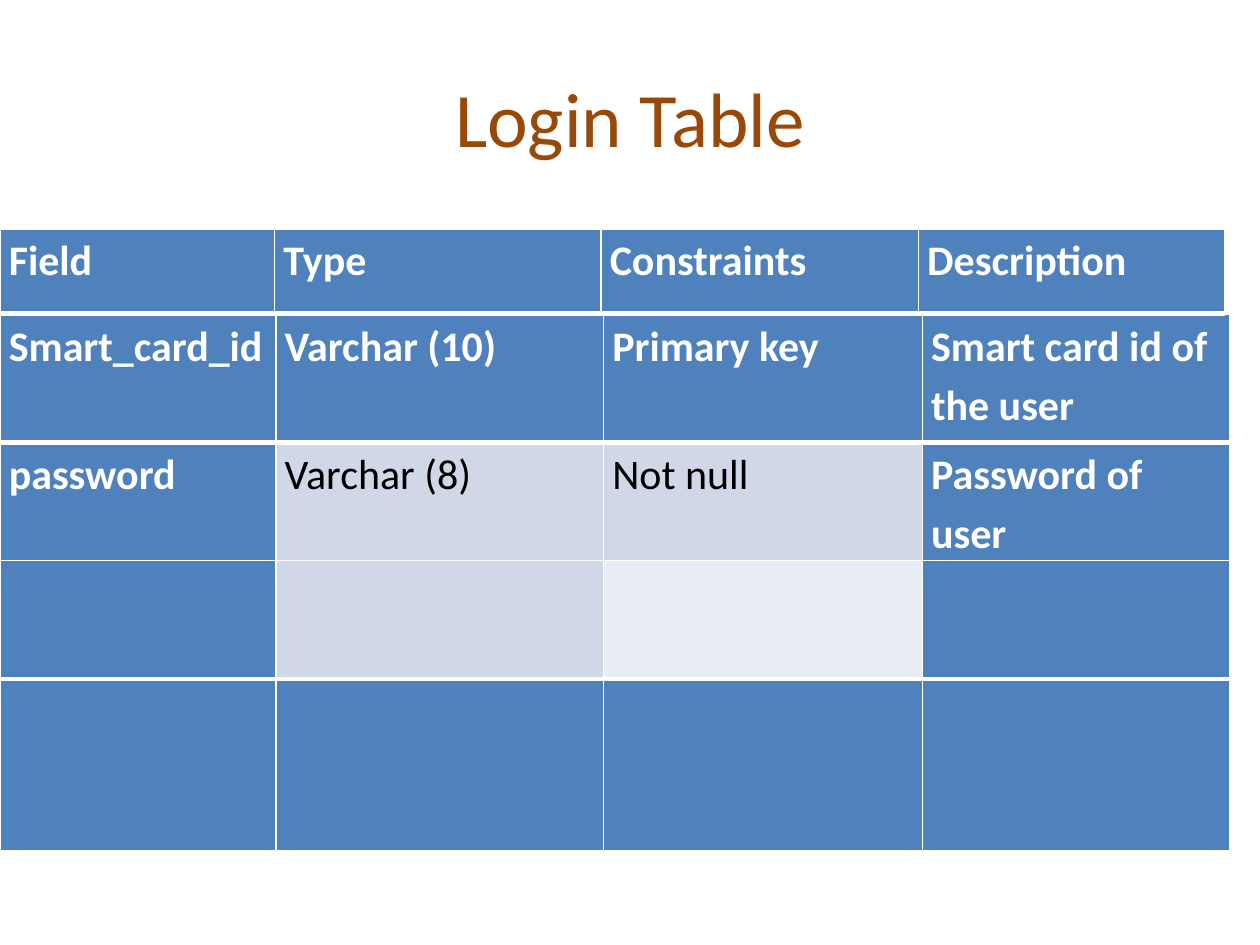
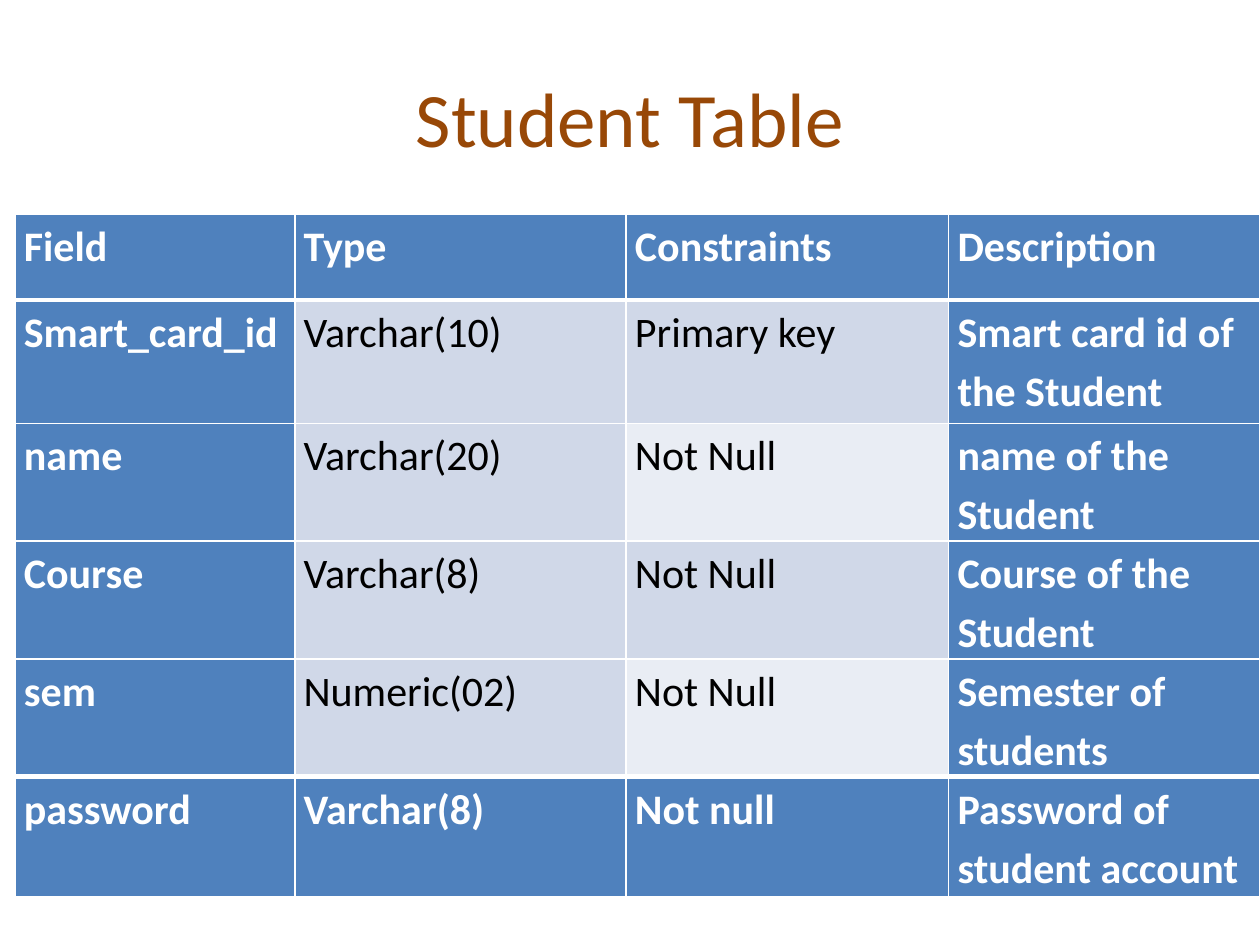
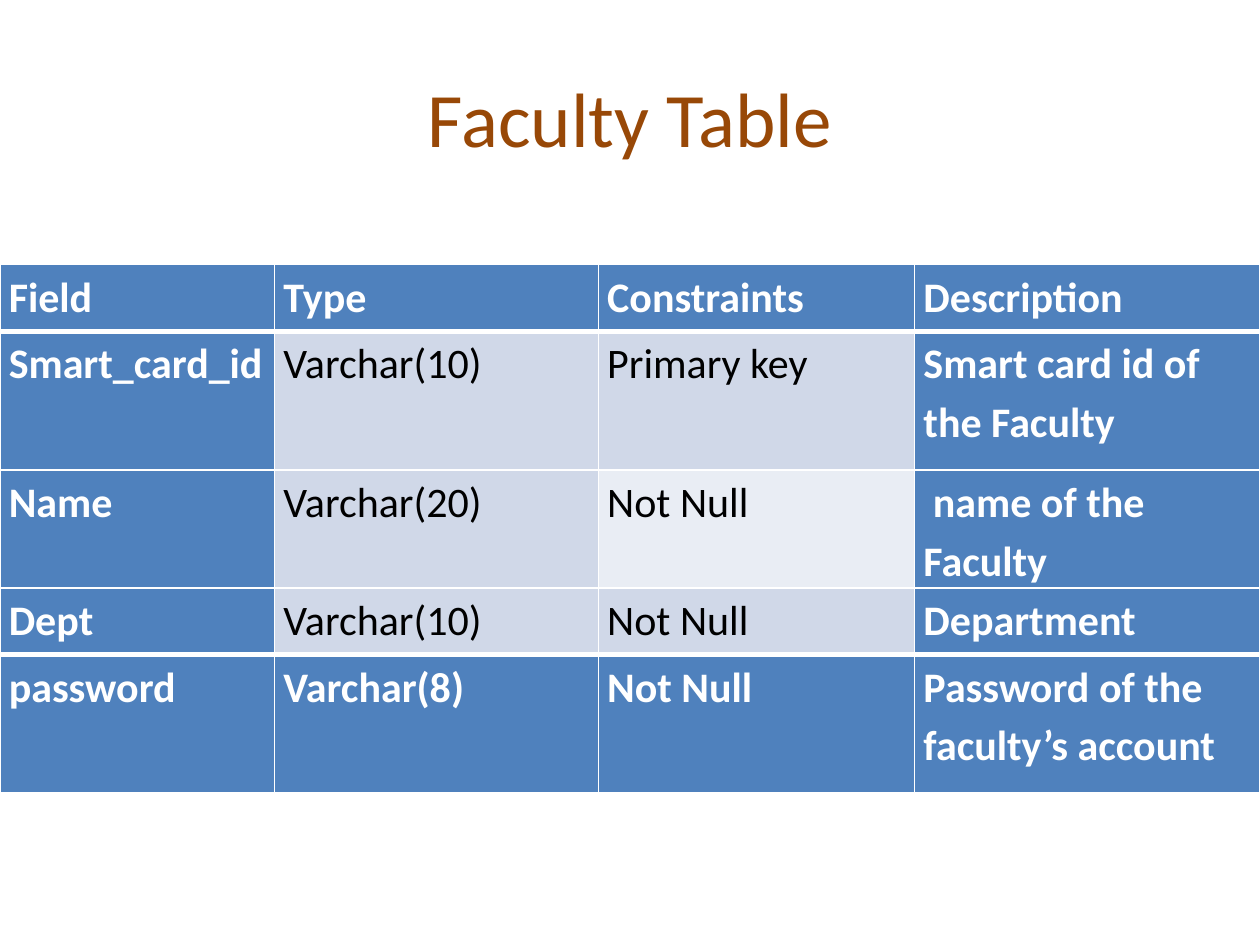
from lxml import etree
from pptx import Presentation, util as u
from pptx.dml.color import RGBColor
from pptx.enum import text
from pptx.oxml import ns

COLORS = {
    "title": "984807",
    "accent": "4F81BD",
    "band": "D0D8E8",
    "light": "E9EDF4",
    "white": "FFFFFF",
    "black": "000000",
}
FONT = "Calibri"
HEADINGS = ["Field", "Type", "Constraints", "Description"]


def color(name):
    """Return the named palette colour."""
    return RGBColor.from_string(COLORS[name])


def style_font(paragraph, size, color_name, bold=False):
    """Format every run of a paragraph."""
    for span in paragraph.runs:
        span.font.name = FONT
        span.font.size = u.Pt(size)
        span.font.bold = bold
        span.font.color.rgb = color(color_name)


def add_border(cell, side, points):
    """Draw a white line on one side of a cell."""
    properties = cell._tc.get_or_add_tcPr()
    line = etree.SubElement(properties, ns.qn(f"a:ln{side}"), w=str(u.Pt(points)))
    fill = etree.SubElement(line, ns.qn("a:solidFill"))
    etree.SubElement(fill, ns.qn("a:srgbClr"), val=COLORS["white"])


def cell_fill(row, column, last_row, last_column):
    """Choose a fill: accent around the edge, bands inside."""
    if row in (0, last_row) or column in (0, last_column):
        return "accent"
    return "light" if column == 2 and row % 2 == 0 else "band"


def format_cell(cell, content, fill_name, top_line, bottom_line):
    """Fill, border and write one cell."""
    for side, points in zip("LRTB", (1, 1, top_line, bottom_line)):
        add_border(cell, side, points)
    cell.fill.solid()
    cell.fill.fore_color.rgb = color(fill_name)
    if not content:
        return
    cell.margin_left = cell.margin_right = u.Inches(0.07)
    cell.margin_top = cell.margin_bottom = 0
    cell.text_frame.text = content
    paragraph = cell.text_frame.paragraphs[0]
    paragraph.line_spacing = 1.15
    accent = fill_name == "accent"
    style_font(paragraph, 24, "white" if accent else "black", accent)


def add_field_table(page, left, top, widths, heights, records):
    """Place a field table with heavy rules below its first and above its last row."""
    frame = page.shapes.add_table(
        len(heights), len(widths), u.Inches(left), u.Inches(top),
        u.Inches(sum(widths)), u.Inches(sum(heights)))
    table = frame.table
    for column, width in zip(table.columns, widths):
        column.width = u.Inches(width)
    last_row, last_column = len(heights) - 1, len(widths) - 1
    rules = [3 if edge in (1, last_row) else 1 for edge in range(len(heights) + 1)]
    for row, (height, record) in enumerate(zip(heights, records)):
        table.rows[row].height = u.Inches(height)
        for column, content in enumerate(record):
            fill_name = cell_fill(row, column, last_row, last_column)
            format_cell(table.cell(row, column), content, fill_name,
                        rules[row], rules[row + 1])


def add_titled_page(deck, title):
    """Add a page with the shared title style."""
    page = deck.slides.add_slide(deck.slide_layouts[5])
    box = page.shapes.title
    box.left, box.top = u.Inches(0.5), u.Inches(0.3)
    box.width, box.height = u.Inches(9), u.Inches(1.25)
    box.text_frame.text = title
    box.text_frame.vertical_anchor = text.MSO_ANCHOR.MIDDLE
    paragraph = box.text_frame.paragraphs[0]
    paragraph.alignment = text.PP_ALIGN.CENTER
    style_font(paragraph, 44, "title")
    return page


def add_login_page(deck):
    """Build the login page, whose headings form a separate strip."""
    page = add_titled_page(deck, "Login Table")
    add_field_table(page, 0, 2.49, [2.19, 2.6, 2.53, 2.44], [1.02, 0.94, 0.94, 1.36], [
        ["Smart_card_id", "Varchar (10)", "Primary key", "Smart card id of the user"],
        ["password", "Varchar (8)", "Not null", "Password of user"],
        [""] * 4,
        [""] * 4,
    ])
    add_field_table(page, 0, 1.81, [2.18, 2.59, 2.52, 2.43], [0.68], [HEADINGS])


def add_student_page(deck):
    """Build the student page."""
    page = add_titled_page(deck, "Student Table")
    heights = [0.68, 0.98, 0.93, 0.93, 0.93, 0.95]
    add_field_table(page, 0.12, 1.7, [2.22, 2.63, 2.56, 2.47], heights, [
        HEADINGS,
        ["Smart_card_id", "Varchar(10)", "Primary key", "Smart card id of the Student"],
        ["name", "Varchar(20)", "Not Null", "name of the Student"],
        ["Course", "Varchar(8)", "Not Null", "Course of the Student"],
        ["sem", "Numeric(02)", "Not Null", "Semester of students"],
        ["password", "Varchar(8)", "Not null", "Password of student account"],
    ])


def add_faculty_page(deck):
    """Build the faculty page."""
    page = add_titled_page(deck, "Faculty Table")
    heights = [0.53, 1.1, 0.93, 0.53, 1.1]
    add_field_table(page, 0, 2.1, [2.18, 2.57, 2.51, 2.74], heights, [
        HEADINGS,
        ["Smart_card_id", "Varchar(10)", "Primary key", "Smart card id of the Faculty"],
        ["Name", "Varchar(20)", "Not Null", " name of the Faculty"],
        ["Dept", "Varchar(10)", "Not Null", "Department"],
        ["password", "Varchar(8)", "Not Null", "Password of the faculty’s account"],
    ])


def main():
    """Build and save the deck."""
    deck = Presentation()
    deck.slide_width, deck.slide_height = u.Inches(10), u.Inches(7.5)
    add_login_page(deck)
    add_student_page(deck)
    add_faculty_page(deck)
    deck.save("out.pptx")


if __name__ == "__main__":
    main()
